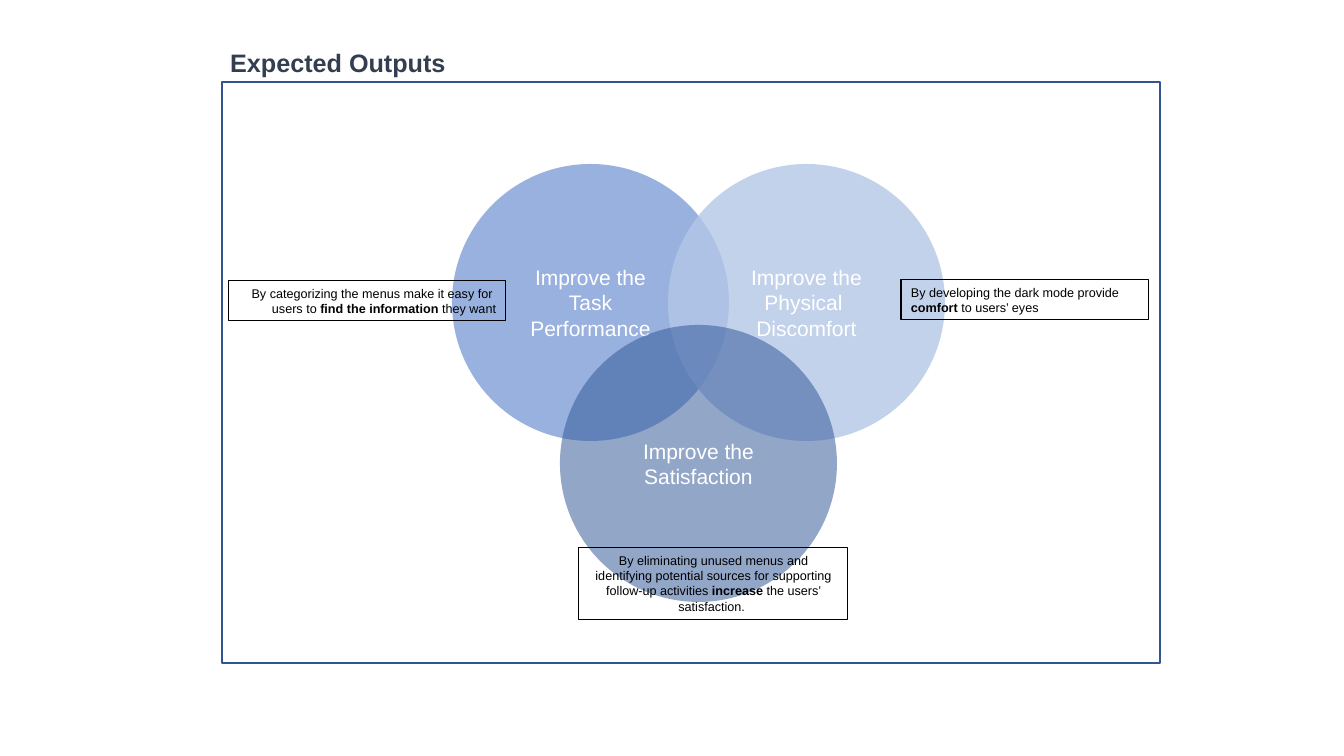
from lxml import etree
from pptx import Presentation
from pptx import util as u
from pptx.dml.color import RGBColor
from pptx.enum import shapes, text
from pptx.oxml.ns import qn

PX = 914400 / 100.8  # EMU per px
FONT = "Arial"
LEFT, CENTER, RIGHT = text.PP_ALIGN.LEFT, text.PP_ALIGN.CENTER, text.PP_ALIGN.RIGHT

DIAMETER = 277
# left, top, fill, opacity in percent, paragraphs
CIRCLES = [
    (452, 164, "8FAADC", 91, ["Improve the\vTask", "Performance"]),
    (668, 164, "B4C7E7", 80, ["Improve the Physical ", "Discomfort"]),
    (560, 325, "2F5597", 52, ["Improve the Satisfaction"]),
]
# box, alignment, text before, bold text, text after
NOTES = [
    ((229, 281, 277, 40), RIGHT,
     "By categorizing the menus make it easy for \vusers to ",
     "find the information", " they want"),
    ((901, 280, 248, 40), LEFT,
     "By developing the dark mode provide ", "comfort", " to users’ eyes"),
    ((579, 548, 269, 72), CENTER,
     "By eliminating unused menus and identifying potential sources for "
     "supporting follow-up activities ", "increase ", "the users’ satisfaction. "),
]


def px(value):
    return u.Emu(round(value * PX))


def color(hex_string):
    return RGBColor.from_string(hex_string)


def format_paragraph(paragraph, size, hex_string, alignment):
    paragraph.alignment = alignment
    paragraph.font.name = FONT
    paragraph.font.size = u.Pt(size)
    paragraph.font.color.rgb = color(hex_string)


def add_title(slide, title_text, box):
    title = slide.shapes.title
    title.left, title.top, title.width, title.height = map(px, box)
    frame = title.text_frame
    frame.text = title_text
    frame.auto_size = text.MSO_AUTO_SIZE.NONE
    frame.vertical_anchor = text.MSO_ANCHOR.TOP
    format_paragraph(frame.paragraphs[0], 18, "333F50", LEFT)
    frame.paragraphs[0].font.bold = True


def add_shape(slide, kind, box, fill=None, line=None, line_width=1):
    shape = slide.shapes.add_shape(kind, *map(px, box))
    shape.shadow.inherit = False
    if fill:
        shape.fill.solid()
        shape.fill.fore_color.rgb = color(fill)
    else:
        shape.fill.background()
    if line:
        shape.line.color.rgb = color(line)
        shape.line.width = u.Pt(line_width)
    else:
        shape.line.fill.background()
    return shape


def set_opacity(shape, percent):
    fill_color = shape.fill._xPr.find(qn("a:solidFill"))[0]
    etree.SubElement(fill_color, qn("a:alpha"), val=str(percent * 1000))


def add_circle(slide, left, top, fill, opacity, lines):
    box = (left, top, DIAMETER, DIAMETER)
    circle = add_shape(slide, shapes.MSO_SHAPE.OVAL, box, fill=fill)
    set_opacity(circle, opacity)
    frame = circle.text_frame
    frame.word_wrap = True
    frame.vertical_anchor = text.MSO_ANCHOR.MIDDLE
    frame.text = "\n".join(lines)
    for paragraph in frame.paragraphs:
        format_paragraph(paragraph, 15, "FFFFFF", CENTER)


def add_note(slide, box, alignment, before, strong, after):
    note = add_shape(slide, shapes.MSO_SHAPE.RECTANGLE, box, line="000000", line_width=0.75)
    frame = note.text_frame
    frame.word_wrap = True
    frame.vertical_anchor = text.MSO_ANCHOR.TOP
    paragraph = frame.paragraphs[0]
    format_paragraph(paragraph, 9, "000000", alignment)
    # Line breaks only occur before the bold words
    first, *rest = before.split("\v")
    paragraph.add_run().text = first
    for part in rest:
        paragraph.add_line_break()
        paragraph.add_run().text = part
    bold_run = paragraph.add_run()
    bold_run.text = strong
    bold_run.font.bold = True
    paragraph.add_run().text = after


def main():
    presentation = Presentation()
    presentation.slide_width = px(1344)
    presentation.slide_height = px(756)
    slide = presentation.slides.add_slide(presentation.slide_layouts[5])

    # Title and frame
    add_title(slide, "Expected Outputs", (220, 42, 937, 40))
    add_shape(slide, shapes.MSO_SHAPE.RECTANGLE, (222, 82, 938, 581), line="325491")

    # Overlapping goals
    for circle in CIRCLES:
        add_circle(slide, *circle)

    # How each goal is reached
    for note in NOTES:
        add_note(slide, *note)

    presentation.save("out.pptx")


if __name__ == "__main__":
    main()
